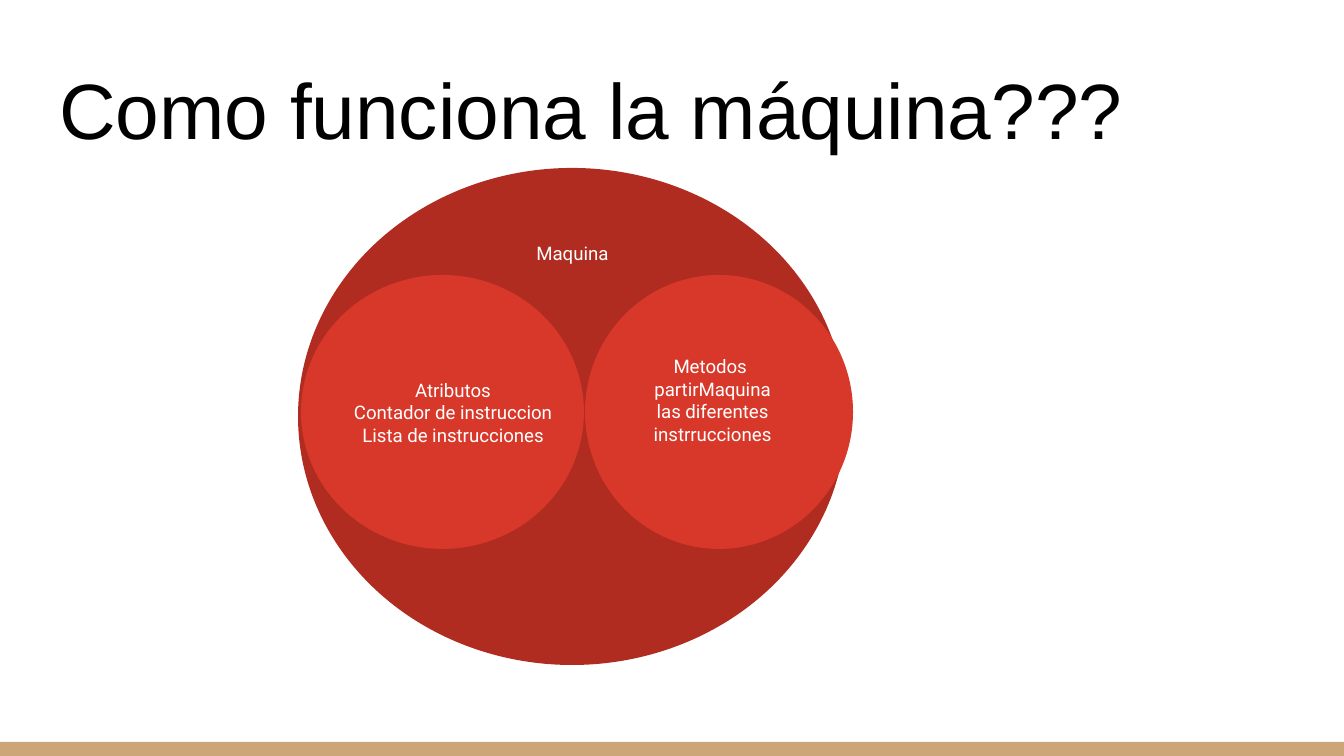
"""Build the slide that explains how the machine works."""
import pptx
import pptx.dml.color
import pptx.enum.shapes
import pptx.enum.text
import pptx.util

EMU_PER_PX = 914400 / 134.4
BLACK = pptx.dml.color.RGBColor(0x00, 0x00, 0x00)
WHITE = pptx.dml.color.RGBColor(0xFF, 0xFF, 0xFF)
TAN = pptx.dml.color.RGBColor(0xCC, 0xA6, 0x77)
DARK_RED = pptx.dml.color.RGBColor(0xB0, 0x2C, 0x20)
RED = pptx.dml.color.RGBColor(0xD8, 0x38, 0x29)
SHAPES = pptx.enum.shapes.MSO_SHAPE
ANCHOR = pptx.enum.text.MSO_ANCHOR
ALIGN = pptx.enum.text.PP_ALIGN


def px(length):
    """Turn pixels into EMU."""
    return pptx.util.Emu(round(length * EMU_PER_PX))


def add_filled(slide, kind, bounds, color):
    """Add a plain filled shape without an outline."""
    shape = slide.shapes.add_shape(kind, *map(px, bounds))
    shape.shadow.inherit = False
    shape.fill.solid()
    shape.fill.fore_color.rgb = color
    shape.line.fill.background()


def add_text(slide, lines, bounds, *, size=10, font="Roboto", color=WHITE,
             align=ALIGN.CENTER, anchor=ANCHOR.MIDDLE):
    """Add a wrapped text box with one paragraph per line."""
    frame = slide.shapes.add_textbox(*map(px, bounds)).text_frame
    frame.word_wrap = True
    frame.vertical_anchor = anchor
    frame.margin_left = frame.margin_right = pptx.util.Inches(0.1)
    frame.margin_top = frame.margin_bottom = pptx.util.Inches(0.1)
    frame.text = "\n".join(lines)
    for paragraph in frame.paragraphs:
        paragraph.alignment = align
        paragraph.font.size = pptx.util.Pt(size)
        paragraph.font.name = font
        paragraph.font.color.rgb = color


def add_set(slide, circle, color, label, lines):
    """Add one circle of the diagram with its label."""
    add_filled(slide, SHAPES.OVAL, circle, color)
    add_text(slide, lines, label)


def main():
    """Build and save the slide."""
    deck = pptx.Presentation()
    deck.slide_width, deck.slide_height = px(1344), px(756)
    slide = deck.slides.add_slide(deck.slide_layouts[6])

    add_filled(slide, SHAPES.RECTANGLE, (0, 742, 1344, 14), TAN)
    add_text(slide, ["Como funciona la máquina???"], (46, 47, 1252, 122),
             size=42, font="Arial", color=BLACK, align=ALIGN.LEFT,
             anchor=ANCHOR.BOTTOM)

    add_set(slide, (298, 168, 548, 497), DARK_RED, (438, 196, 269, 114),
            ["Maquina"])
    add_set(slide, (301, 275, 283, 274), RED, (332, 348, 242, 129),
            ["Atributos", "Contador de instruccion",
             "Lista de instrucciones"])
    add_set(slide, (585, 275, 268, 274), RED, (597, 349, 231, 102),
            ["Metodos ", "partirMaquina",
             "las diferentes instrrucciones"])
    deck.save("out.pptx")


if __name__ == "__main__":
    main()
